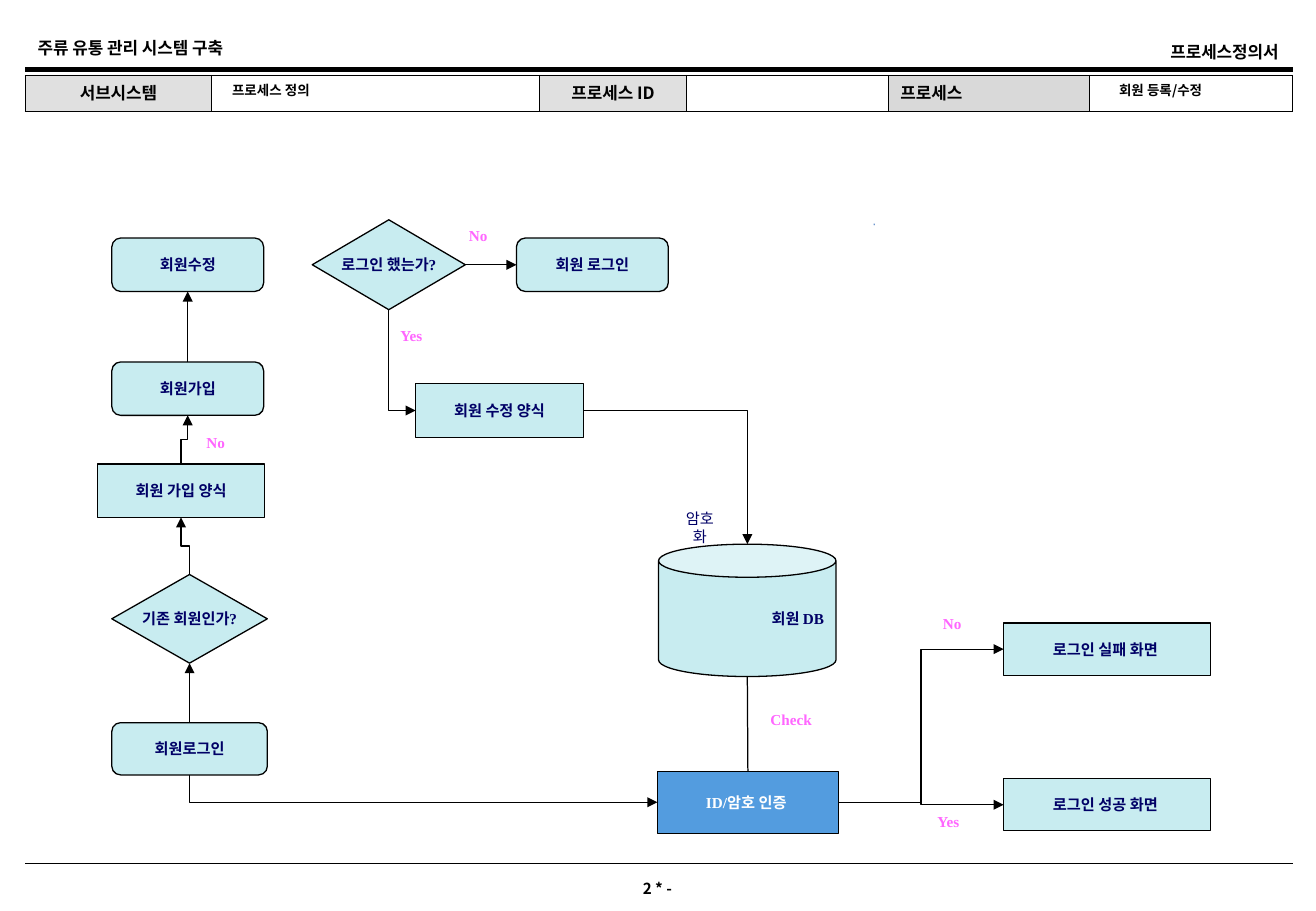
from typing import NamedTuple

from lxml.etree import SubElement
from pptx import Presentation
from pptx.dml.color import RGBColor
from pptx.enum.shapes import MSO_CONNECTOR as Connector, MSO_SHAPE as Shape
from pptx.enum.text import MSO_ANCHOR as Anchor, PP_ALIGN as Align
from pptx.oxml.ns import qn
from pptx.util import Inches, Length, Pt

COLORS = {
    "ink": "000000", "navy": "000066", "blue": "064DAC", "pink": "FF66FF",
    "white": "FFFFFF", "aqua": "C8ECF0", "azure": "539CDF",
    "heading": "E0E0E0", "process": "D9D9D9",
}
SANS, SERIF = "Noto Sans CJK KR", "Times New Roman"
COLUMNS, ROWS = 108.3, 75  # grid of tenths of an inch
LEFT, RIGHT = 2.1, 106.4
TOP_SIDE, LEFT_SIDE, BOTTOM_SIDE, RIGHT_SIDE = range(4)
UPRIGHT = (TOP_SIDE, BOTTOM_SIDE)


class Style(NamedTuple):
    size: float
    color: str = "ink"
    font: str = SANS
    bold: bool = True
    align: Align = Align.CENTER


class Box(NamedTuple):
    x: float
    y: float
    w: float
    h: float

    def side(self, side: int) -> tuple[float, float]:
        """Middle of one side of the box."""
        across = {LEFT_SIDE: 0, RIGHT_SIDE: 1}.get(side, 0.5)
        down = {TOP_SIDE: 0, BOTTOM_SIDE: 1}.get(side, 0.5)
        return self.x + self.w * across, self.y + self.h * down


NODE_STYLE = Style(9, "navy", SERIF)
ANSWER = Style(9, "pink", SERIF)


class Node(NamedTuple):
    text: str
    kind: Shape
    box: Box
    fill: str = "aqua"
    style: Style = NODE_STYLE


class Label(NamedTuple):
    text: str
    box: Box
    style: Style = ANSWER
    wrap: bool = False


class Flow(NamedTuple):
    source: str
    source_side: int
    target: str
    target_side: int
    arrow: bool = True


class Cell(NamedTuple):
    text: str
    width: float
    fill: str
    style: Style
    indent: float = 1


STEP, FORM, CHOICE = Shape.FLOWCHART_ALTERNATE_PROCESS, Shape.RECTANGLE, Shape.DIAMOND
NODES = {
    "edit": Node("회원수정", STEP, Box(9.2, 19.6, 12.5, 4.4)),
    "signup": Node("회원가입", STEP, Box(9.2, 29.8, 12.5, 4.4)),
    "signup form": Node("회원 가입 양식", FORM, Box(8.0, 38.2, 13.8, 4.4)),
    "member?": Node("기존 회원인가?", CHOICE, Box(9.2, 47.3, 12.8, 7.3)),
    "login": Node("회원로그인", STEP, Box(9.2, 59.5, 12.8, 4.3)),
    "logged in?": Node("로그인 했는가?", CHOICE, Box(25.7, 18.1, 12.6, 7.4)),
    "member login": Node("회원 로그인", STEP, Box(42.5, 19.6, 12.5, 4.4)),
    "edit form": Node("회원 수정 양식", FORM, Box(34.2, 31.6, 13.8, 4.4)),
    "db": Node("회원 DB", Shape.CAN, Box(54.2, 44.8, 14.6, 10.9),
               style=NODE_STYLE._replace(align=Align.RIGHT)),
    "auth": Node("ID/암호 인증 ", FORM, Box(54.1, 63.5, 14.9, 5.1), "azure",
                 NODE_STYLE._replace(color="white")),
    "failure": Node("로그인 실패 화면 ", FORM, Box(82.6, 51.3, 17, 4.3)),
    "success": Node("로그인 성공 화면 ", FORM, Box(82.6, 64.1, 17, 4.3)),
}
STRAIGHT_FLOWS = [
    Flow("login", TOP_SIDE, "member?", BOTTOM_SIDE),
    Flow("signup", TOP_SIDE, "edit", BOTTOM_SIDE),
    Flow("logged in?", RIGHT_SIDE, "member login", LEFT_SIDE),
]
DB_CHECK = Flow("auth", TOP_SIDE, "db", BOTTOM_SIDE, arrow=False)
BENT_FLOWS = [
    Flow("member?", TOP_SIDE, "signup form", BOTTOM_SIDE),
    Flow("signup form", TOP_SIDE, "signup", BOTTOM_SIDE),
    Flow("login", BOTTOM_SIDE, "auth", LEFT_SIDE),
    Flow("logged in?", BOTTOM_SIDE, "edit form", LEFT_SIDE),
    Flow("edit form", RIGHT_SIDE, "db", TOP_SIDE),
    Flow("auth", RIGHT_SIDE, "success", LEFT_SIDE),
    Flow("auth", RIGHT_SIDE, "failure", LEFT_SIDE),
]
LABELS = [
    Label("No", Box(37.6, 18.1, 3.5, 2.5)),
    Label("Yes", Box(31.9, 26.4, 3.9, 2.5)),
    Label("No", Box(16, 35.2, 3.5, 2.5)),
    Label("No", Box(76.6, 50.1, 3.5, 2.5)),
    Label("Yes", Box(76.1, 66.4, 3.9, 2.5)),
    Label("Check", Box(62.4, 58, 5.4, 2.5)),
    Label("암호화", Box(54.9, 41.4, 5.4, 2.5), NODE_STYLE._replace(bold=False)),
    Label(" 몰", Box(70.9, 17.8, 2.1, 1.2), Style(1, "blue", SERIF)),
    Label("프로세스정의서", Box(81.4, 2.9, 24.8, 2.7), Style(10, align=Align.RIGHT), True),
    Label("2 * -", Box(41.7, 71.9, 24.8, 2.7), Style(9), True),
]
HEADING, DETAIL = Style(10), Style(8, align=Align.LEFT)
HEADER = [
    Cell("서브시스템", 15.3, "heading", HEADING),
    Cell("프로세스 정의", 27, "white", DETAIL, 1.7),
    Cell("프로세스 ID", 12.1, "heading", HEADING),
    Cell("", 16.6, "white", DETAIL),
    Cell("프로세스", 16.6, "process", HEADING._replace(align=Align.LEFT)),
    Cell("회원 등록/수정", 16.7, "white", DETAIL, 2.4),
]


def grid(cells: float) -> Length:
    return Inches(cells / 10)


def rgb(name: str) -> RGBColor:
    return RGBColor.from_string(COLORS[name])


def write(frame, text: str, style: Style) -> None:
    frame.text = text
    paragraph = frame.paragraphs[0]
    paragraph.alignment = style.align
    for run in paragraph.runs:
        run.font.size, run.font.bold, run.font.name = Pt(style.size), style.bold, style.font
        run.font.color.rgb = rgb(style.color)
        SubElement(run.font._element, qn("a:ea"), typeface=SANS)
    if not text:
        SubElement(paragraph._p, qn("a:endParaRPr"), sz=str(style.size * 100))


def draw_label(slide, label: Label) -> None:
    frame = slide.shapes.add_textbox(*map(grid, label.box)).text_frame
    frame.word_wrap = label.wrap
    write(frame, label.text, label.style)


def draw_node(slide, node: Node):
    shape = slide.shapes.add_shape(node.kind, *map(grid, node.box))
    shape.shadow.inherit = False
    shape.fill.solid()
    shape.fill.fore_color.rgb = rgb(node.fill)
    shape.line.color.rgb, shape.line.width = rgb("ink"), Pt(0.77)
    shape.text_frame.word_wrap = False
    shape.text_frame.vertical_anchor = Anchor.MIDDLE
    write(shape.text_frame, node.text, node.style)
    return shape


def draw_line(slide, kind: Connector, start, end, width: float = 0.75, arrow: bool = False):
    line = slide.shapes.add_connector(kind, *map(grid, (*start, *end)))
    line.line.color.rgb, line.line.width = rgb("ink"), Pt(width)
    if arrow:
        SubElement(line.line._get_or_add_ln(), qn("a:tailEnd"), type="triangle")
    SubElement(line._element.spPr, qn("a:effectLst"))
    return line


def ends(flow: Flow):
    return (NODES[flow.source].box.side(flow.source_side),
            NODES[flow.target].box.side(flow.target_side))


def draw_bent(slide, flow: Flow) -> None:
    """Draw an elbow; one that leaves upright is laid out flat and turned by 90°."""
    (x1, y1), (x2, y2) = start, end = ends(flow)
    upright = flow.source_side in UPRIGHT
    if upright:
        mid_x, mid_y, dx, dy = (x1 + x2) / 2, (y1 + y2) / 2, (x2 - x1) / 2, (y2 - y1) / 2
        start, end = (mid_x - dy, mid_y + dx), (mid_x + dy, mid_y - dx)
    elbow = draw_line(slide, Connector.ELBOW, start, end, arrow=flow.arrow)
    properties = elbow._element.spPr
    if upright:
        properties.find(qn("a:xfrm")).set("rot", str(90 * 60000))
    if upright != (flow.target_side in UPRIGHT):
        properties.find(qn("a:prstGeom")).set("prst", "bentConnector2")


def draw_header(slide) -> None:
    box = Box(LEFT, 6.2, RIGHT - LEFT, 3)
    table = slide.shapes.add_table(1, len(HEADER), *map(grid, box)).table
    table.first_row = table.horz_banding = False
    for column, cell, entry in zip(table.columns, table.rows[0].cells, HEADER):
        column.width = grid(entry.width)
        cell.margin_left, cell.margin_right = grid(entry.indent), grid(1)
        cell.margin_top = cell.margin_bottom = grid(0.4)
        write(cell.text_frame, entry.text, entry.style)
        for side in "LRTB":
            border = SubElement(cell._tc.get_or_add_tcPr(), qn(f"a:ln{side}"), w=str(Pt(0.77)))
            SubElement(SubElement(border, qn("a:solidFill")), qn("a:srgbClr"), val=COLORS["ink"])
        cell.fill.solid()
        cell.fill.fore_color.rgb = rgb(entry.fill)


def main() -> None:
    deck = Presentation()
    deck.slide_width, deck.slide_height = grid(COLUMNS), grid(ROWS)
    slide = deck.slides.add_slide(deck.slide_layouts[5])
    title = slide.shapes.title
    title.left, title.top, title.width, title.height = map(grid, (LEFT, 2.6, 28.5, 2.7))
    title.text_frame.vertical_anchor = Anchor.TOP
    write(title.text_frame, "주류 유통 관리 시스템 구축", Style(10, align=Align.LEFT))
    for y, width in ((5.7, 3), (71.1, 1)):
        draw_line(slide, Connector.STRAIGHT, (LEFT, y), (RIGHT, y), width)
    draw_header(slide)
    shapes = {key: draw_node(slide, node) for key, node in NODES.items()}
    for flow in [*STRAIGHT_FLOWS, DB_CHECK]:
        line = draw_line(slide, Connector.STRAIGHT, *ends(flow), arrow=flow.arrow)
        line.begin_connect(shapes[flow.source], flow.source_side)
        if flow is not DB_CHECK:
            line.end_connect(shapes[flow.target], flow.target_side)
    for flow in BENT_FLOWS:
        draw_bent(slide, flow)
    for label in LABELS:
        draw_label(slide, label)
    deck.save("out.pptx")


if __name__ == "__main__":
    main()
